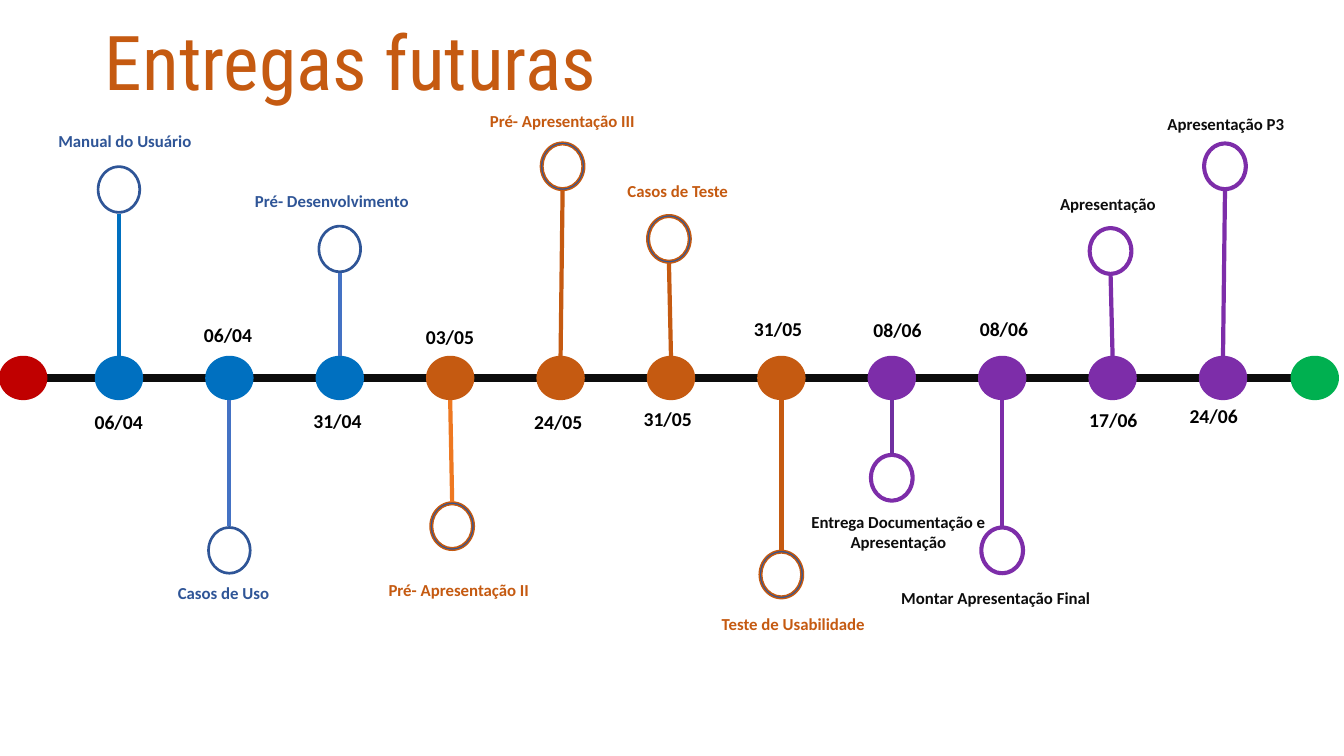
from dataclasses import dataclass

from lxml.etree import SubElement
from pptx import Presentation
from pptx.dml.color import RGBColor
from pptx.enum.shapes import MSO_CONNECTOR, MSO_SHAPE
from pptx.enum.text import MSO_ANCHOR, MSO_AUTO_SIZE, PP_ALIGN
from pptx.oxml.ns import qn
from pptx.util import Inches, Pt

COLORS = {
    "red": "C00000", "green": "00B050", "blue": "0070C0", "navy": "2F5597",
    "steel": "4472C4", "rust": "C55A11", "orange": "EE7821",
    "purple": "7D2DA9", "violet": "7030A0", "ink": "0D0D0D", "black": "000000",
}

NODE_W, NODE_H = 0.48, 0.44
RING_W, RING_H = 0.44, 0.48
FIRST_NODE, NODE_STEP = 1.18, 1.095
LABEL_W, DATE_W = 2.31, 1.07


@dataclass
class Phase:
    node: str
    ring: str
    outline: str
    text: str


@dataclass
class Milestone:
    phase: Phase
    stem: str
    label: str
    label_at: tuple
    date: str
    date_at: tuple
    ring_at: tuple
    align: PP_ALIGN = PP_ALIGN.LEFT
    label_h: float = 0.3


FIRST = Phase("blue", "navy", None, "navy")
SECOND = Phase("rust", "navy", "rust", "rust")
THIRD = Phase("purple", "purple", "purple", "ink")

MILESTONES = [
    Milestone(FIRST, "blue", "Manual do Usuário", (-0.7, -2.5),
              "06/04", (-0.34, 0.27), (0, -1.87)),
    Milestone(FIRST, "steel", "Casos de Uso", (-0.61, 1.98),
              "06/04", (-0.35, -0.6), (0, 1.71)),
    Milestone(FIRST, "steel", "Pré- Desenvolvimento", (-0.94, -1.91),
              "31/04", (-0.36, 0.26), (0, -1.28)),
    Milestone(SECOND, "orange", "Pré- Apresentação II", (-0.71, 1.95),
              "03/05", (-0.34, -0.58), (0.02, 1.47)),
    Milestone(SECOND, "rust", "Pré- Apresentação III", (-0.8, -2.7),
              "24/05", (-0.36, 0.27), (0.02, -2.1)),
    Milestone(SECOND, "rust", "Casos de Teste", (-0.53, -2.01),
              "31/05", (-0.37, 0.24), (-0.02, -1.38)),
    Milestone(SECOND, "rust", "Teste de Usabilidade", (-0.69, 2.29),
              "31/05", (-0.37, -0.66), (0, 1.95)),
    Milestone(THIRD, "violet", "Entrega Documentação e Apresentação", (-1.09, 1.28),
              "08/06", (-0.28, -0.64), (0, 0.99), PP_ALIGN.CENTER, 0.5),
    Milestone(THIRD, "purple", "Montar Apresentação Final", (-1.1, 2.03),
              "08/06", (-0.32, -0.66), (0, 1.71)),
    Milestone(THIRD, "purple", "Apresentação", (-0.62, -1.88),
              "17/06", (-0.33, 0.25), (-0.02, -1.26)),
    Milestone(THIRD, "purple", "Apresentação P3", (-0.65, -2.67),
              "24/06", (-0.43, 0.21), (0.02, -2.1)),
]


def rgb(name):
    return RGBColor.from_string(COLORS[name])


def add_run(p, text, font, size, color, bold=False):
    r = p.add_run()
    r.text = text
    r.font.name = font
    r.font.size = Pt(size)
    r.font.bold = bold
    r.font.color.rgb = rgb(color)


def add_text(s, x, y, w, h, text, size, color, align=PP_ALIGN.LEFT):
    tf = s.shapes.add_textbox(Inches(x), Inches(y), Inches(w), Inches(h)).text_frame
    tf.word_wrap = True
    p = tf.paragraphs[0]
    p.alignment = align
    add_run(p, text, "Calibri", size, color, True)


def add_line(s, x1, y1, x2, y2, color, width):
    line = s.shapes.add_connector(
        MSO_CONNECTOR.STRAIGHT, Inches(x1), Inches(y1), Inches(x2), Inches(y2))
    line.line.color.rgb = rgb(color)
    line.line.width = Pt(width)
    SubElement(line._element.spPr, qn("a:effectLst"))


def add_round(s, kind, cx, cy, w, h, color, outline=None):
    sp = s.shapes.add_shape(
        kind, Inches(cx - w / 2), Inches(cy - h / 2), Inches(w), Inches(h))
    sp.shadow.inherit = False
    sp.fill.solid()
    sp.fill.fore_color.rgb = rgb(color)
    if outline:
        sp.line.color.rgb = rgb(outline)
        sp.line.width = Pt(1)
    else:
        sp.line.fill.background()
    return sp


def add_node(s, cx, cy, color):
    add_round(s, MSO_SHAPE.OVAL, cx, cy, NODE_W, NODE_H, color)


def add_title(s, x, y, w, h):
    title = s.shapes.title
    title.left, title.top, title.width, title.height = map(Inches, (x, y, w, h))
    tf = title.text_frame
    tf.word_wrap = True
    tf.auto_size = MSO_AUTO_SIZE.NONE
    tf.vertical_anchor = MSO_ANCHOR.TOP
    p = tf.paragraphs[0]
    p.alignment = PP_ALIGN.LEFT
    p.line_spacing = 1.0
    add_run(p, "Entregas futuras", "Roboto Condensed", 54, "rust")


def add_milestone(s, cx, cy, right, m):
    side = 1 if m.ring_at[1] > 0 else -1
    ring_x, ring_y = cx + m.ring_at[0], cy + m.ring_at[1]
    add_node(s, cx, cy, m.phase.node)
    ring = add_round(s, MSO_SHAPE.DONUT, ring_x, ring_y, RING_W, RING_H,
                     m.phase.ring, m.phase.outline)
    ring.adjustments[0] = 0.059
    add_line(s, cx, cy + side * NODE_H / 2, ring_x, ring_y - side * RING_H / 2, m.stem, 3)
    label_x = cx + m.label_at[0]
    add_text(s, label_x, cy + m.label_at[1], min(LABEL_W, right - label_x), m.label_h,
             m.label, 12, m.phase.text, m.align)
    add_text(s, cx + m.date_at[0], cy + m.date_at[1], DATE_W, 0.34, m.date, 14, "black")


def add_timeline(s, x, y, w):
    start, end = x + 0.23, x + w - 0.29
    add_line(s, start, y, end, y, "ink", 6)
    add_node(s, start, y, "red")
    add_node(s, end, y, "green")
    for i, m in enumerate(MILESTONES):
        add_milestone(s, x + FIRST_NODE + i * NODE_STEP, y, x + w, m)


def main():
    prs = Presentation()
    prs.slide_width, prs.slide_height = Inches(13.33), Inches(7.5)
    s = prs.slides.add_slide(prs.slide_layouts[5])
    add_title(s, 0.94, 0.1, 12.39, 1.31)
    add_timeline(s, 0, 3.75, 13.33)
    prs.save("out.pptx")


if __name__ == "__main__":
    main()
